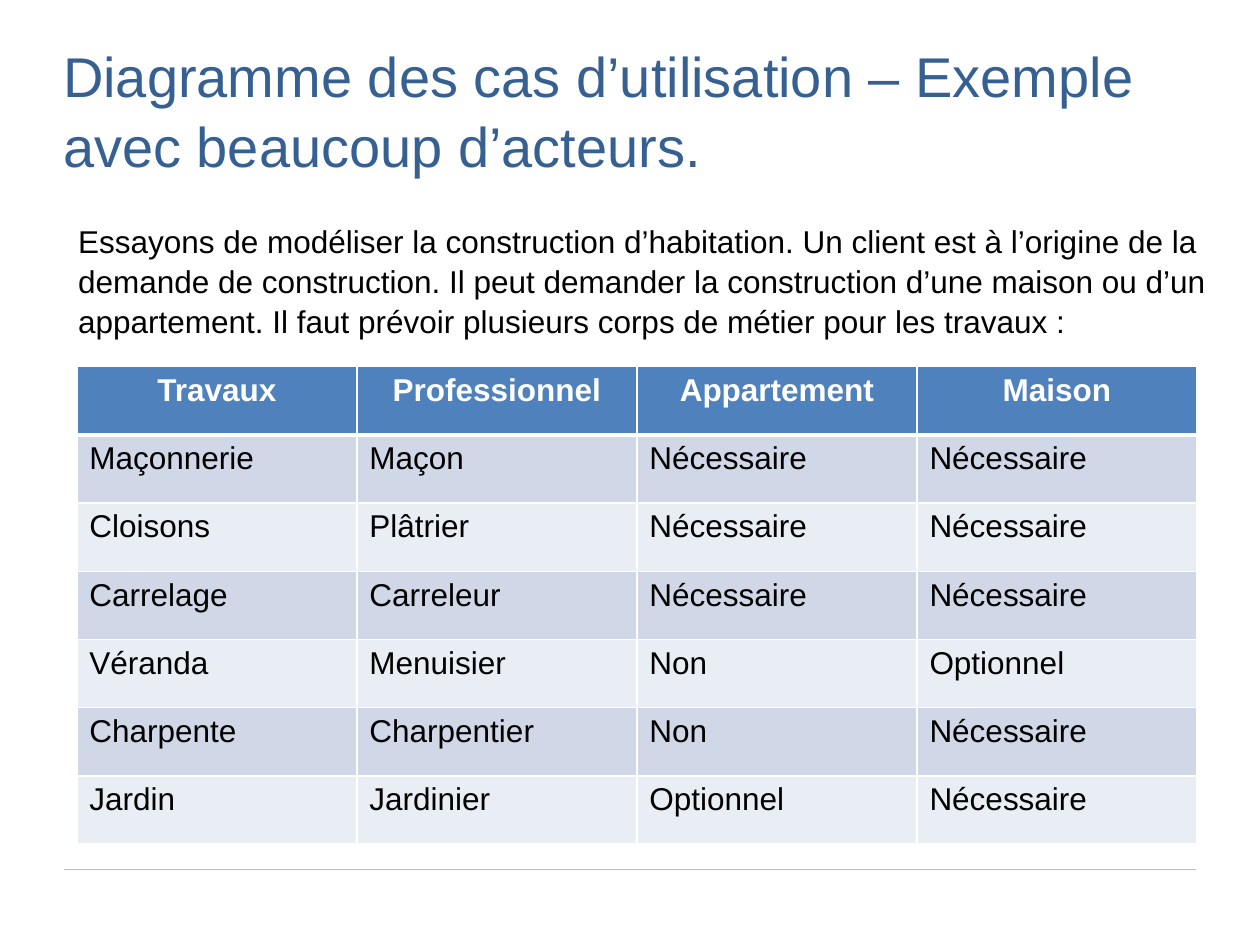
from lxml.etree import SubElement
from pptx import Presentation
from pptx.dml.color import RGBColor
from pptx.enum.shapes import MSO_CONNECTOR
from pptx.enum.text import MSO_ANCHOR, MSO_AUTO_SIZE, PP_ALIGN
from pptx.oxml.ns import qn
from pptx.util import Inches, Pt

HUES = {"title": "376092", "text": "000000", "white": "FFFFFF", "rule": "BFBFBF",
        "head": "4F81BD", "odd": "D0D8E8", "even": "E9EDF4"}

TITLE = "Diagramme des cas d’utilisation – Exemple avec beaucoup d’acteurs."
INTRO = ("Essayons de modéliser la construction d’habitation. Un client est à l’origine "
         "de la demande de construction. Il peut demander la construction d’une maison "
         "ou d’un appartement. Il faut prévoir plusieurs corps de métier pour les travaux :")
TRADES = [
    ("Travaux", "Professionnel", "Appartement", "Maison"),
    ("Maçonnerie", "Maçon", "Nécessaire", "Nécessaire"),
    ("Cloisons", "Plâtrier", "Nécessaire", "Nécessaire"),
    ("Carrelage", "Carreleur", "Nécessaire", "Nécessaire"),
    ("Véranda", "Menuisier", "Non", "Optionnel"),
    ("Charpente", "Charpentier", "Non", "Nécessaire"),
    ("Jardin", "Jardinier", "Optionnel", "Nécessaire"),
]

FRAME = {"margin_left": 0, "margin_top": 0, "margin_right": 0, "margin_bottom": 0,
         "word_wrap": True, "auto_size": MSO_AUTO_SIZE.NONE,
         "vertical_anchor": MSO_ANCHOR.TOP}
PROSE = {"alignment": PP_ALIGN.LEFT, "line_spacing": 1.05}


def color(name):
    return RGBColor.from_string(HUES[name])


def apply(item, values):
    for key, value in values.items():
        setattr(item, key, value)


def write(para, text, size, hue, bold=False, **layout):
    para.text = text
    apply(para, layout)
    apply(para.font, {"name": "Arial", "size": Pt(size), "bold": bold})
    para.font.color.rgb = color(hue)


def add_title(slide, box):
    title = slide.shapes.title
    apply(title, dict(zip(("left", "top", "width", "height"), box)))
    apply(title.text_frame, FRAME)
    write(title.text_frame.paragraphs[0], TITLE, 32, "title", **PROSE)


def add_intro(slide, box):
    frame = slide.shapes.add_textbox(*box).text_frame
    apply(frame, FRAME)
    para = frame.paragraphs[0]
    para._p.get_or_add_pPr().set("marL", str(Inches(0.12)))
    write(para, INTRO, 18, "text", space_after=Pt(10.6), **PROSE)


def add_edges(cell, head):
    props = cell._tc.get_or_add_tcPr()
    for side in "LRTB":
        width = 3 if head and side == "B" else 1
        edge = SubElement(props, qn(f"a:ln{side}"), w=str(Pt(width)))
        fill = SubElement(edge, qn("a:solidFill"))
        SubElement(fill, qn("a:srgbClr"), val=HUES["white"])


def add_trades(slide, box):
    table = slide.shapes.add_table(len(TRADES), len(TRADES[0]), *box).table
    for r, row in enumerate(TRADES):
        head = r == 0
        shade = "head" if head else "odd" if r % 2 else "even"
        for c, text in enumerate(row):
            cell = table.cell(r, c)
            add_edges(cell, head)
            cell.fill.solid()
            cell.fill.fore_color.rgb = color(shade)
            write(cell.text_frame.paragraphs[0], text, 18,
                  "white" if head else "text", head,
                  alignment=PP_ALIGN.CENTER if head else PP_ALIGN.LEFT)


def add_rule(slide, box):
    left, top, width, height = box
    rule = slide.shapes.add_connector(
        MSO_CONNECTOR.STRAIGHT, left, top, left + width, top + height)
    rule.line.width = Pt(0.75)
    rule.line.color.rgb = color("rule")
    SubElement(rule._element.spPr, qn("a:effectLst"))


def inches(*sizes):
    return [Inches(size) for size in sizes]


def main():
    deck = Presentation()
    apply(deck, {"slide_width": Inches(10), "slide_height": Inches(7.5)})
    slide = deck.slides.add_slide(deck.slide_layouts[5])
    add_rule(slide, inches(0.51, 6.9, 8.98, 0))
    add_title(slide, inches(0.5, 0.3, 9, 1.25))
    add_intro(slide, inches(0.5, 1.75, 9.27, 4.95))
    add_trades(slide, inches(0.61, 2.91, 8.89, 3.79))
    deck.save("out.pptx")


if __name__ == "__main__":
    main()
